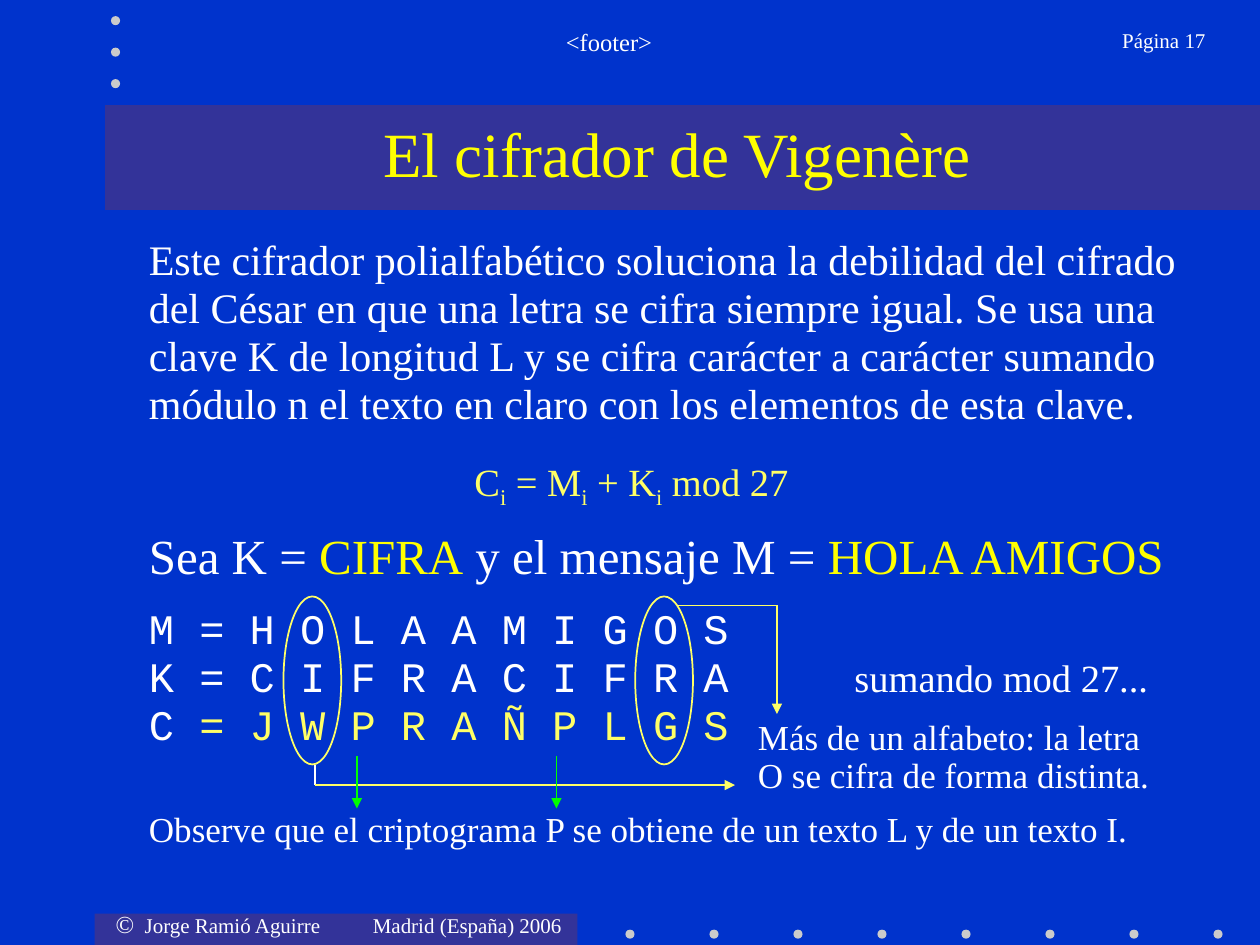
from lxml.etree import SubElement
from pptx import Presentation
from pptx.dml.color import RGBColor
from pptx.enum.shapes import MSO_CONNECTOR, MSO_SHAPE
from pptx.enum.text import MSO_ANCHOR, PP_ALIGN
from pptx.oxml.ns import qn
from pptx.util import Pt

BLUE, BAND, DOT = "0033CC", "333399", "CBCBCB"
WHITE, YELLOW, PALE, GREEN = "FFFFFF", "FFFF00", "FFFF66", "00FF00"
SERIF, MONO = "Times New Roman", "Courier New"


def color(value):
    return RGBColor.from_string(value)


def add_shape(s, kind, x, y, w, h, fill=None, line=None):
    sp = s.shapes.add_shape(kind, Pt(x), Pt(y), Pt(w), Pt(h))
    sp.shadow.inherit = False
    if fill:
        sp.fill.solid()
        sp.fill.fore_color.rgb = color(fill)
    else:
        sp.fill.background()
    if line:
        sp.line.color.rgb = color(line)
        sp.line.width = Pt(1)
    else:
        sp.line.fill.background()


def add_line(s, x1, y1, x2, y2, line=PALE, arrow=False):
    cx = s.shapes.add_connector(MSO_CONNECTOR.STRAIGHT, Pt(x1), Pt(y1), Pt(x2), Pt(y2))
    cx.line.color.rgb = color(line)
    cx.line.width = Pt(1)
    if arrow:
        SubElement(cx.line._get_or_add_ln(), qn("a:tailEnd"), type="triangle")
    SubElement(cx._element.spPr, qn("a:effectLst"))


def add_box(s, x, y, w, h, anchor=MSO_ANCHOR.TOP):
    tf = s.shapes.add_textbox(Pt(x), Pt(y), Pt(w), Pt(h)).text_frame
    tf.word_wrap = True
    tf.vertical_anchor = anchor
    return tf


def add_tabs(p, stops):
    tabs = SubElement(p._p.get_or_add_pPr(), qn("a:tabLst"))
    for stop in stops:
        SubElement(tabs, qn("a:tab"), pos=str(Pt(stop)), algn="l")


def add_paragraph(tf, first=False, align=PP_ALIGN.LEFT, spacing=1.0, before=0, tabs=()):
    p = tf.paragraphs[0] if first else tf.add_paragraph()
    p.alignment = align
    p.line_spacing = spacing
    p.space_before = Pt(before)
    if tabs:
        add_tabs(p, tabs)
    return p


def add_run(p, text, size=24, font=SERIF, fill=WHITE, sub=False):
    r = p.add_run()
    r.text = text
    r.font.size = Pt(size)
    r.font.name = font
    r.font.color.rgb = color(fill)
    if sub:
        r._r.get_or_add_rPr().set("baseline", "-25000")


def add_text(s, text, x, y, w, h, size=24, fill=WHITE, align=PP_ALIGN.LEFT,
             spacing=1.0, anchor=MSO_ANCHOR.TOP):
    p = add_paragraph(add_box(s, x, y, w, h, anchor), True, align, spacing)
    add_run(p, text, size, fill=fill)


def add_decoration(s):
    add_shape(s, MSO_SHAPE.RECTANGLE, 54, 522, 276, 18, BAND)
    add_shape(s, MSO_SHAPE.RECTANGLE, 60, 60, 660, 60, BAND)
    dots = [(357.4 + 48 * i, 531.2) for i in range(8)]
    dots += [(63.4, 9.2 + 18 * i) for i in range(3)]
    for x, y in dots:
        add_shape(s, MSO_SHAPE.OVAL, x, y, 5.2, 5.2, DOT)


def add_credit(s):
    tf = add_box(s, 59, 516, 277, 24)
    tf.margin_right = 0
    p = add_paragraph(tf, True, tabs=(16.6, 147))
    add_run(p, "©", 14)
    add_run(p, "\tJorge Ramió Aguirre\tMadrid (España) 2006", 12)


def add_formula(s):
    p = add_paragraph(add_box(s, 264, 258, 234, 34), True)
    for text, index in (("C", "i"), (" = M", "i"), (" + K", "i"), (" mod 27", "")):
        add_run(p, text, 22, fill=PALE)
        if index:
            add_run(p, index, 22, fill=PALE, sub=True)


def add_example(s):
    tf = add_box(s, 78, 299, 612, 150)
    p = add_paragraph(tf, True, spacing=0.95)
    for text, fill in (("Sea K = ", WHITE), ("CIFRA", YELLOW),
                       (" y el mensaje M = ", WHITE), ("HOLA AMIGOS", YELLOW)):
        add_run(p, text, 28, fill=fill)
    p = add_paragraph(tf, spacing=0.95, before=12)
    add_run(p, "M = H O L A A M I G O S", font=MONO)
    p = add_paragraph(tf, spacing=0.95, tabs=(403.2,))
    add_run(p, "K = C I F R A C I F R A", font=MONO)
    add_run(p, "\tsumando mod 27...", 22)
    p = add_paragraph(tf, spacing=0.95)
    add_run(p, "C ", font=MONO)
    add_run(p, "= J W P R A Ñ P L G S", font=MONO, fill=PALE)


def add_marks(s):
    for x in (162, 363):
        add_shape(s, MSO_SHAPE.OVAL, x, 340.8, 33, 96, line=PALE)
    add_line(s, 387, 346, 444, 346)
    add_line(s, 444, 346, 444, 408, arrow=True)
    add_line(s, 180, 437, 180, 448.6, WHITE)
    add_line(s, 180, 448.6, 420, 448.6, arrow=True)
    for x in (204, 318):
        add_line(s, x, 432, x, 462, GREEN, arrow=True)


def main():
    prs = Presentation()
    prs.slide_width, prs.slide_height = Pt(720), Pt(540)
    s = prs.slides.add_slide(prs.slide_layouts[6])
    s.background.fill.solid()
    s.background.fill.fore_color.rgb = color(BLUE)
    add_decoration(s)
    add_credit(s)
    add_text(s, "<footer>", 114, 12, 468, 36, 14, align=PP_ALIGN.CENTER)
    add_text(s, "Página 17", 597.5, 12, 98.5, 36, 12, align=PP_ALIGN.RIGHT)
    add_text(s, "El cifrador de Vigenère", 66, 60, 642, 54, 36, YELLOW,
             PP_ALIGN.CENTER, anchor=MSO_ANCHOR.MIDDLE)
    add_text(s, "Este cifrador polialfabético soluciona la debilidad del cifrado "
             "del César en que una letra se cifra siempre igual. Se usa una "
             "clave K de longitud L y se cifra carácter a carácter sumando "
             "módulo n el texto en claro con los elementos de esta clave.",
             78, 132, 612, 126, spacing=0.95)
    add_formula(s)
    add_example(s)
    add_text(s, "Más de un alfabeto: la letra O se cifra de forma distinta.",
             426, 408, 240, 47, 20, spacing=0.9)
    add_text(s, "Observe que el criptograma P se obtiene de un texto L y de un texto I.",
             78, 460.5, 600, 25, 20, spacing=0.9)
    add_marks(s)
    prs.save("out.pptx")


if __name__ == "__main__":
    main()
